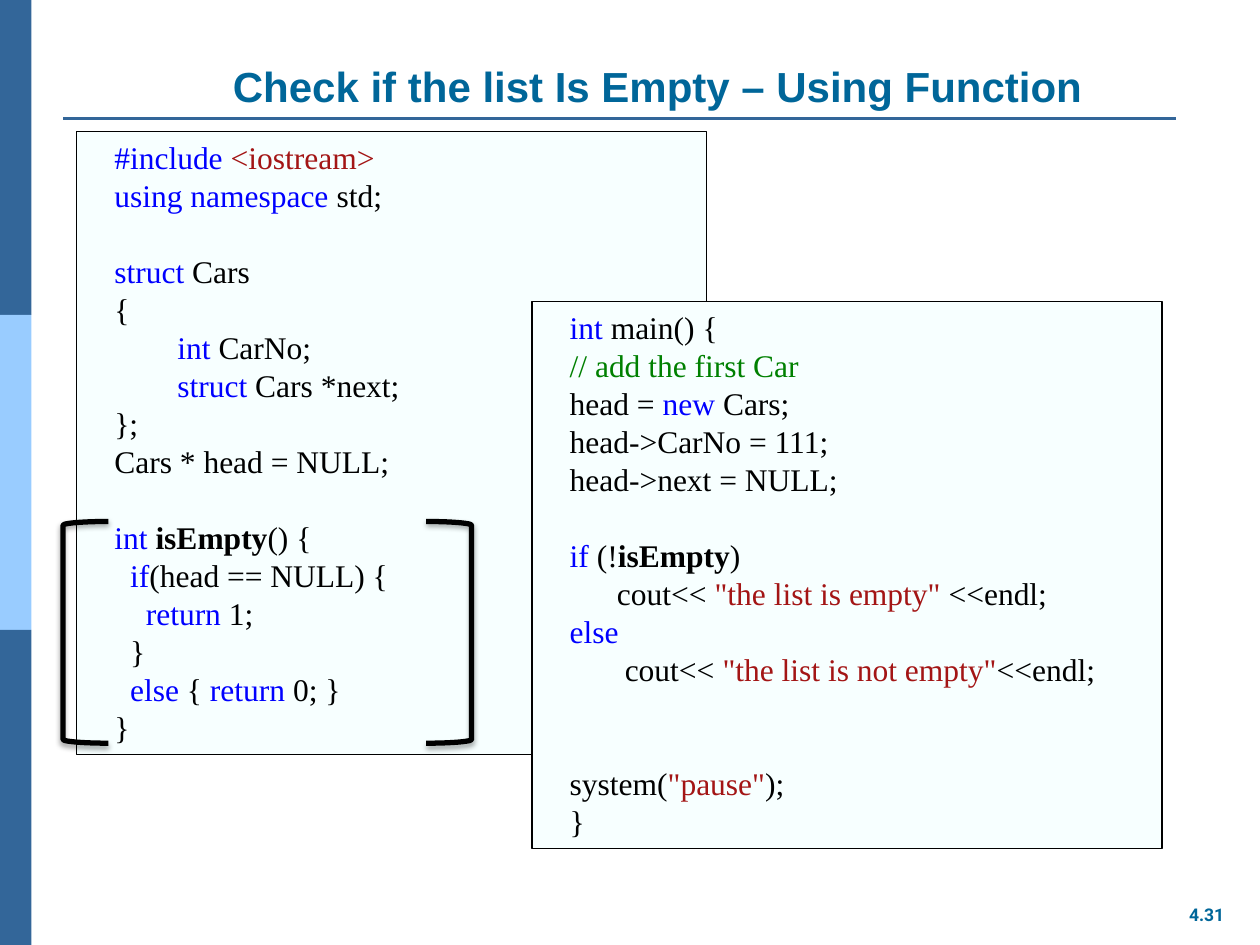
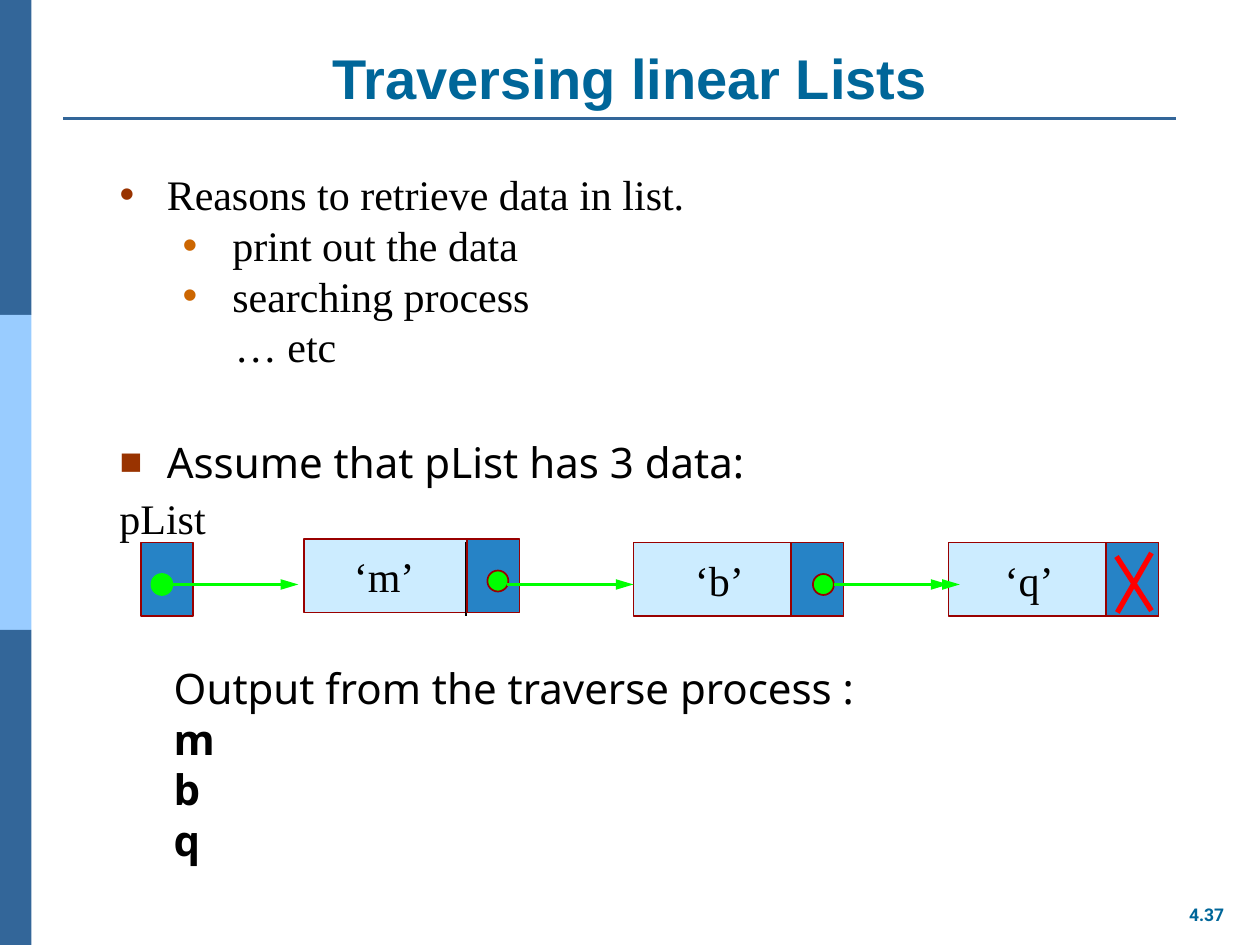
from lxml import etree
from pptx import Presentation
from pptx.dml.color import RGBColor
from pptx.enum import shapes, text
from pptx.oxml import ns
from pptx.util import Pt

# Colours
NAVY = RGBColor(0x33, 0x66, 0x99)
SKY = RGBColor(0x99, 0xCC, 0xFF)
TEAL = RGBColor(0x00, 0x66, 0x99)
BLACK = RGBColor(0, 0, 0)
PAPER = RGBColor(0xF7, 0xFF, 0xFF)
KEYWORD = RGBColor(0, 0, 0xFF)
STRING = RGBColor(0xA3, 0x15, 0x15)
COMMENT = RGBColor(0, 0x80, 0)
DATA_FILL = RGBColor(0xCC, 0xEC, 0xFF)
LINK_FILL = RGBColor(0x26, 0x83, 0xC6)
NODE_EDGE = RGBColor(0x99, 0, 0)
GREEN = RGBColor(0, 0xFF, 0)
RED = RGBColor(0xFF, 0, 0)
BULLET = RGBColor(0x99, 0x33, 0x00)
SUB_BULLET = RGBColor(0xCC, 0x66, 0x00)

SERIF, SANS = "Times New Roman", "Noto Sans"
CODE_LEADING, BODY_LEADING = 21.7, 28.9
LEFT, CENTER = text.PP_ALIGN.LEFT, text.PP_ALIGN.CENTER
TOP, MIDDLE, BOTTOM = (text.MSO_ANCHOR.TOP, text.MSO_ANCHOR.MIDDLE,
                       text.MSO_ANCHOR.BOTTOM)
KIND = shapes.MSO_SHAPE

# In code lines "|" parts the runs; the first sign of a run gives its style
RUN_STYLES = {"@": (KEYWORD, False), "$": (STRING, False),
              "%": (COMMENT, False), "^": (BLACK, True)}

LIST_CODE = [
    "@#include |$<iostream>",
    "@using namespace |std;",
    "",
    "@struct| Cars",
    "{",
    "        |@int |CarNo;",
    "        |@struct| Cars *next;",
    "};",
    "Cars * head = NULL;",
    "",
    "@int |^isEmpty|() {",
    "  |@if|(head == NULL) {",
    "    |@return| 1;",
    "  }",
    "  |@else| { |@return| 0; }",
    "}",
]
MAIN_CODE = [
    "@int| main() {",
    "%// add the first Car",
    "head = |@new| Cars;",
    "head->CarNo = 111;",
    "head->next = NULL;",
    "",
    "@if| (!|^isEmpty|)",
    '      cout<< |$"the list is empty"| <<endl;',
    "@else",
    '       cout<< |$"the list is not empty"|<<endl;',
    "",
    "",
    'system(|$"pause"|);',
    "}",
]

# Text, left margin, first-line indent, space before, bullet, bullet colour, font
REASONS = [
    ("Reasons to retrieve data in list.", 27, -27, 0, "•", BULLET, SERIF),
    ("print out the data", 64.5, -28.5, 0, "•", SUB_BULLET, SERIF),
    ("searching process", 64.5, -28.5, 0, "•", SUB_BULLET, SERIF),
    ("… etc", 66, 0, 0, None, None, SERIF),
    ("Assume that pList has 3 data:", 27, -27, 37.3, "■", BULLET, SANS),
]


def apply(target, formats):
    for key, value in formats.items():
        setattr(target, key, value)


def add_run(paragraph, words, size, font=SERIF, color=BLACK, bold=False):
    run = paragraph.add_run()
    run.text = words
    apply(run.font, {"size": Pt(size), "name": font, "bold": bold})
    run.font.color.rgb = color


def set_frame(frame, anchor=TOP, wrap=True, insets=(7.2, 3.6, 7.2, 3.6)):
    left, top, right, bottom = map(Pt, insets)
    apply(frame, {"vertical_anchor": anchor, "word_wrap": wrap,
                  "margin_left": left, "margin_top": top,
                  "margin_right": right, "margin_bottom": bottom})


def paragraphs(frame, count):
    return [frame.paragraphs[0]] + [frame.add_paragraph() for _ in range(count - 1)]


def add_textbox(slide, box, **frame_formats):
    frame = slide.shapes.add_textbox(*map(Pt, box)).text_frame
    set_frame(frame, **frame_formats)
    return frame


def add_figure(slide, kind, box, fill=None, edge=None, width=1):
    figure = slide.shapes.add_shape(kind, *map(Pt, box))
    figure.shadow.inherit = False
    if fill is None:
        figure.fill.background()
    else:
        figure.fill.solid()
        figure.fill.fore_color.rgb = fill
    if edge is None:
        figure.line.fill.background()
    else:
        figure.line.color.rgb = edge
        figure.line.width = Pt(width)
    return figure


def add_line(slide, start, end, color, width, arrow=False):
    line = slide.shapes.add_connector(shapes.MSO_CONNECTOR.STRAIGHT,
                                      *map(Pt, start + end))
    line.line.color.rgb = color
    line.line.width = Pt(width)
    if arrow:
        etree.SubElement(line.line._get_or_add_ln(), ns.qn("a:tailEnd"),
                         type="triangle", w="med", len="lg")
    etree.SubElement(line._element.spPr, ns.qn("a:effectLst"))


def start_slide(deck, heading, size, number, indent=0):
    """Side bands, rule, page number and title."""
    slide = deck.slides.add_slide(deck.slide_layouts[6])
    for row, band in enumerate((NAVY, SKY, NAVY)):
        add_figure(slide, KIND.RECTANGLE, (0, 180 * row, 18, 180), band)
    add_line(slide, (36, 67.7), (672, 67.7), NAVY, 1.5)
    for words, box, font, points, anchor, inset in (
            (number, (672, 512.6, 35, 19.5), "Roboto", 10, MIDDLE, 0),
            (heading, (36, 21.6, 648, 45.4), "Arial", size, BOTTOM, indent)):
        frame = add_textbox(slide, box, anchor=anchor, wrap=points > 10,
                            insets=(7.2 + inset, 3.6, 7.2, 3.6))
        frame.paragraphs[0].alignment = CENTER
        add_run(frame.paragraphs[0], words, points, font, TEAL, True)
    return slide


def add_code(slide, box, lines, right_inset):
    frame = add_figure(slide, KIND.RECTANGLE, box, PAPER, BLACK, 0.75).text_frame
    set_frame(frame, insets=(21.6, 3.6, right_inset, 3.6))
    written = [line for line in lines if line]
    slots = iter(paragraphs(frame, len(written)))
    gap = 0
    for line in lines:
        if not line:
            gap += CODE_LEADING
            continue
        paragraph = next(slots)
        apply(paragraph, {"alignment": LEFT, "line_spacing": Pt(CODE_LEADING),
                          "space_before": Pt(gap)})
        gap = 0
        for part in line.split("|"):
            color, bold = RUN_STYLES.get(part[0], (BLACK, False))
            words = part[1:] if part[0] in RUN_STYLES else part
            add_run(paragraph, words, 18, SERIF, color, bold)


def add_bracket(slide, left, rotation):
    bracket = add_figure(slide, KIND.LEFT_BRACKET, (left, 298, 26, 126.7),
                         edge=BLACK, width=3)
    bracket.rotation = rotation
    effects = bracket._element.spPr.find(ns.qn("a:effectLst"))
    shadow = etree.SubElement(effects, ns.qn("a:outerShdw"), blurRad=str(Pt(3.1)),
                              dist=str(Pt(1.8)), dir="5400000", rotWithShape="0")
    tint = etree.SubElement(shadow, ns.qn("a:srgbClr"), val=str(BLACK))
    etree.SubElement(tint, ns.qn("a:alpha"), val="35000")


def add_bullet(paragraph, sign, color):
    props = paragraph._p.get_or_add_pPr()
    tint = etree.SubElement(props, ns.qn("a:buClr"))
    etree.SubElement(tint, ns.qn("a:srgbClr"), val=str(color))
    if sign == "■":
        etree.SubElement(props, ns.qn("a:buSzPct"), val="90000")
    etree.SubElement(props, ns.qn("a:buFont"), typeface="Arial")
    etree.SubElement(props, ns.qn("a:buChar"), char=sign)


def add_reasons(slide):
    frame = add_textbox(slide, (61.2, 92.9, 400, 192))
    for paragraph, item in zip(paragraphs(frame, len(REASONS)), REASONS):
        words, margin, indent, gap, sign, color, font = item
        props = paragraph._p.get_or_add_pPr()
        props.set("marL", str(Pt(margin)))
        props.set("indent", str(Pt(indent)))
        if sign:
            add_bullet(paragraph, sign, color)
        apply(paragraph, {"line_spacing": Pt(BODY_LEADING), "space_before": Pt(gap)})
        add_run(paragraph, words, 24, font)


def add_data_cell(slide, letter, left, top, divider, right_inset):
    cell = add_figure(slide, KIND.RECTANGLE, (left, top, 120, 42),
                      DATA_FILL, NODE_EDGE)
    set_frame(cell.text_frame, MIDDLE, False, (7.2, 3.6, right_inset, 3.6))
    cell.text_frame.paragraphs[0].alignment = CENTER
    add_run(cell.text_frame.paragraphs[0], letter, 24)
    add_line(slide, (divider, 310), (divider, 352), BLACK, 1)


def add_dot(slide, left, top, edge):
    add_figure(slide, KIND.OVAL, (left, top, 12, 12), GREEN, edge)


def add_pointer(slide, left):
    add_line(slide, (left, 334), (left + 72, 334), GREEN, 2, arrow=True)


def draw_list(slide):
    # Data cells
    for letter, left, top, divider, inset in (
            ("‘m’", 173.5, 308, 266.5, 35), ("‘b’", 362, 310, 452, 29),
            ("‘q’", 542, 310, 632, 35)):
        add_data_cell(slide, letter, left, top, divider, inset)
    add_pointer(slide, 470)
    # Link cells: the head, then one for each node
    for left, top in ((80.5, 310), (267, 308), (452, 310), (632, 310)):
        add_figure(slide, KIND.RECTANGLE, (left, top, 30, 42), LINK_FILL, NODE_EDGE)
    # Dots and the pointers that leave them
    for left, top, edge, pointer in ((86.5, 328, GREEN, 98.5),
                                     (278.5, 326, NODE_EDGE, 290),
                                     (464.5, 328, NODE_EDGE, 476.5)):
        add_dot(slide, left, top, edge)
        add_pointer(slide, pointer)
    # Cross for the end of the list
    add_line(slide, (638, 318), (658, 349), RED, 3)
    add_line(slide, (658, 316), (638.5, 350), RED, 3)


def add_output(slide):
    frame = add_textbox(slide, (92.2, 375, 440, 124))
    lines = ("Output from the traverse process :", "m", "b", "q")
    for paragraph, words in zip(paragraphs(frame, len(lines)), lines):
        paragraph.line_spacing = Pt(BODY_LEADING)
        add_run(paragraph, words, 24, SANS, bold=len(words) == 1)


def main():
    deck = Presentation()
    apply(deck, {"slide_width": Pt(720), "slide_height": Pt(540)})

    # Empty check
    check = start_slide(deck, "Check if the list Is Empty – Using Function",
                        24, "4.31", indent=31.5)
    add_code(check, (43.8, 75, 360, 356), LIST_CODE, 14.4)
    add_code(check, (304, 172.3, 360, 312.5), MAIN_CODE, 7.2)
    add_bracket(check, 36, 0)
    add_bracket(check, 243.5, 180)

    # Traversal
    traversal = start_slide(deck, "Traversing linear Lists", 32, "4.37")
    add_reasons(traversal)
    label = add_textbox(traversal, (61.2, 277.5, 80, 36)).paragraphs[0]
    label.line_spacing = Pt(BODY_LEADING)
    add_run(label, "pList", 24)
    draw_list(traversal)
    add_output(traversal)

    deck.save("out.pptx")


if __name__ == "__main__":
    main()
